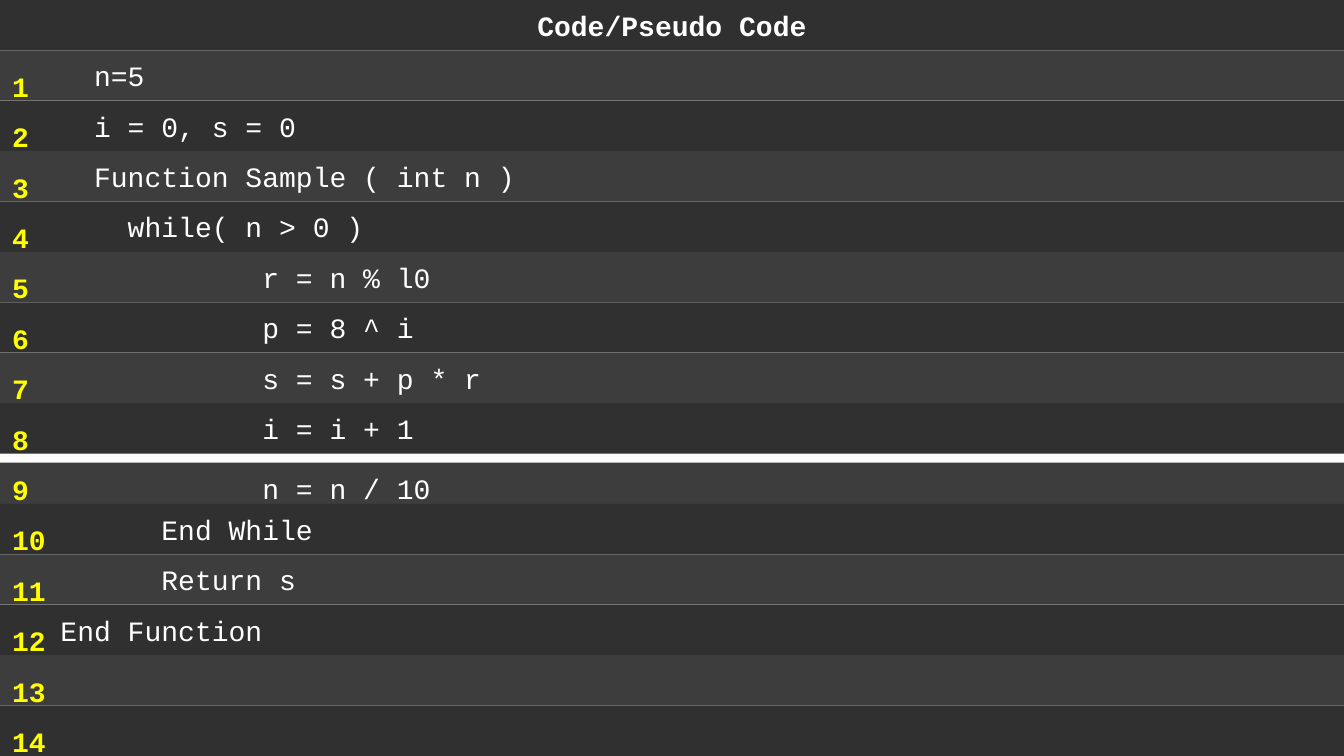
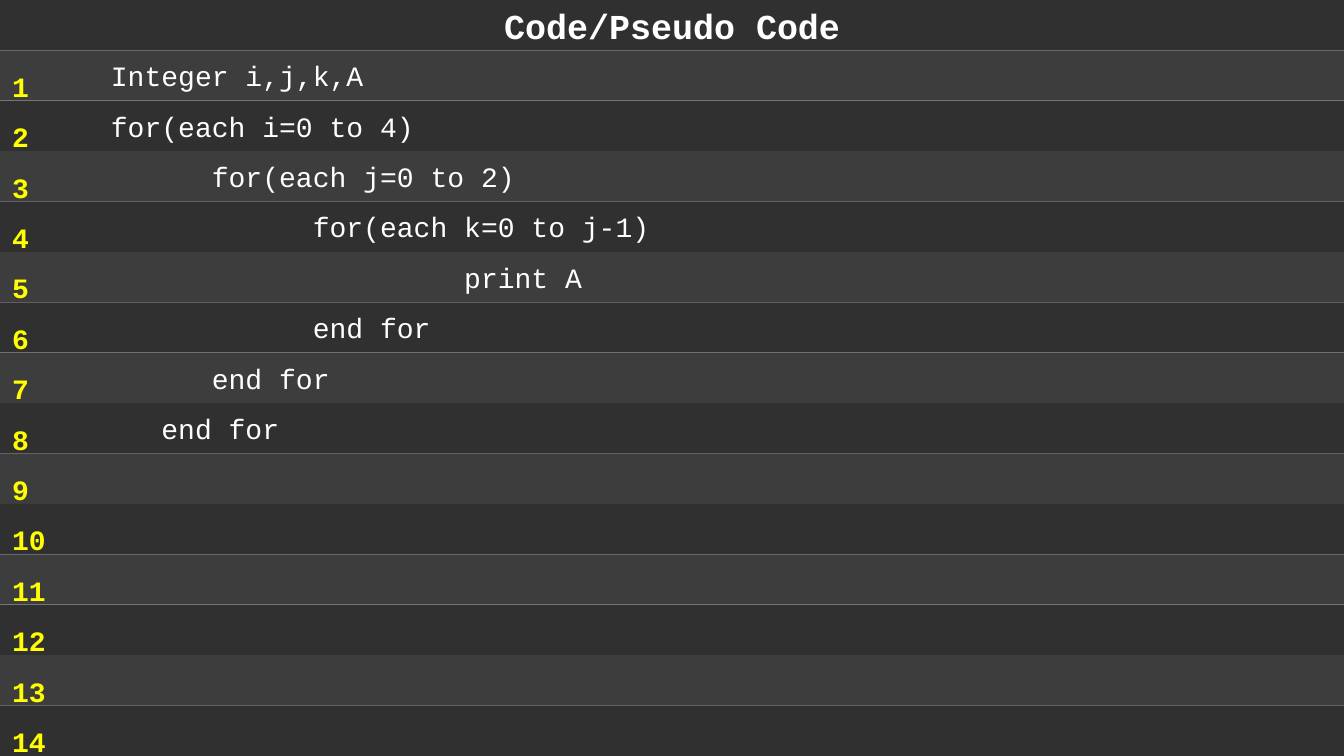
from lxml import etree
from pptx import Presentation
from pptx import util as u
from pptx.dml import color
from pptx.enum import shapes, text
from pptx.oxml import ns

WIDE, HIGH = 13.33, 7.5
ROWS = 14
ROW = HIGH / (ROWS + 1)
EDGE = 0.6
FACE = "Courier New"
HUES = {"dark": "303030", "light": "3D3D3D", "code": "FFFFFF",
        "count": "FFFF00", "off": "FDFDFD", "white": "FFFFFF"}

DIGITS = """\
  n=5
  i = 0, s = 0
  Function Sample ( int n )
    while( n > 0 )
            r = n % l0
            p = 8 ^ i
            s = s + p * r
            i = i + 1
            n = n / 10
      End While
      Return s
End Function"""

LOOPS = """\
   Integer i,j,k,A
   for(each i=0 to 4)
         for(each j=0 to 2)
               for(each k=0 to j-1)
                        print A
               end for
         end for
      end for"""


def paint(fill, hue):
    fill.solid()
    fill.fore_color.rgb = color.RGBColor.from_string(HUES[hue])


def place(shape, row, rows=1, wide=WIDE):
    shape.left, shape.top = 0, u.Inches(row * ROW)
    shape.width, shape.height = u.Inches(wide), u.Inches(rows * ROW)


def write(shape, words, size=20, hue="code", bold=False, align="LEFT",
          anchor="MIDDLE", left=0.1, right=0.1, top=0.05, pitch=None):
    frame = shape.text_frame
    frame.text = words
    frame.word_wrap = True
    frame.auto_size = text.MSO_AUTO_SIZE.NONE
    frame.vertical_anchor = text.MSO_ANCHOR[anchor]
    frame.margin_left, frame.margin_right = u.Inches(left), u.Inches(right)
    frame.margin_top = u.Inches(top)
    for para in frame.paragraphs:
        props = para._p.get_or_add_pPr()
        props.set("marL", "0")
        props.set("indent", "0")
        etree.SubElement(props, ns.qn("a:buNone"))
        para.alignment = text.PP_ALIGN[align]
        para.space_before = u.Pt(0)
        if pitch:
            para.line_spacing = u.Pt(pitch)
        font = para.font
        font.name, font.size, font.bold = FACE, u.Pt(size), bold
        font.color.rgb = color.RGBColor.from_string(HUES[hue])


def add_head(slide, size):
    head = slide.shapes.title
    place(head, 0)
    paint(head.fill, "dark")
    write(head, "Code/Pseudo Code", size=size, bold=True, align="CENTER")


def add_band(slide, row, line, drop):
    band = slide.shapes.add_shape(shapes.MSO_SHAPE.RECTANGLE, 0, 0, 0, 0)
    place(band, row + drop)
    band.shadow.inherit = False
    band.line.fill.background()
    paint(band.fill, "light" if row % 2 else "dark")
    if line:
        write(band, line, left=EDGE)


def add_count(slide):
    count = slide.placeholders[1]
    place(count, 1, ROWS, EDGE)
    write(count, "\n".join(str(n) for n in range(1, ROWS + 1)), hue="count",
          bold=True, anchor="TOP", left=0.12, right=0, top=0.02,
          pitch=ROW * 72)
    slide.shapes._spTree.append(count._element)


def add_code(deck, code, size, back, drops):
    slide = deck.slides.add_slide(deck.slide_layouts[1])
    paint(slide.background.fill, back)
    add_head(slide, size)
    lines = code.split("\n")
    lines += [""] * (ROWS - len(lines))
    for row, line in enumerate(lines, 1):
        add_band(slide, row, line, drops.get(row, 0))
    add_count(slide)


def main():
    deck = Presentation()
    deck.slide_width, deck.slide_height = u.Inches(WIDE), u.Inches(HIGH)
    add_code(deck, DIGITS, 20, "off", {9: 0.18})
    add_code(deck, LOOPS, 25, "white", {})
    deck.save("out.pptx")


if __name__ == "__main__":
    main()
